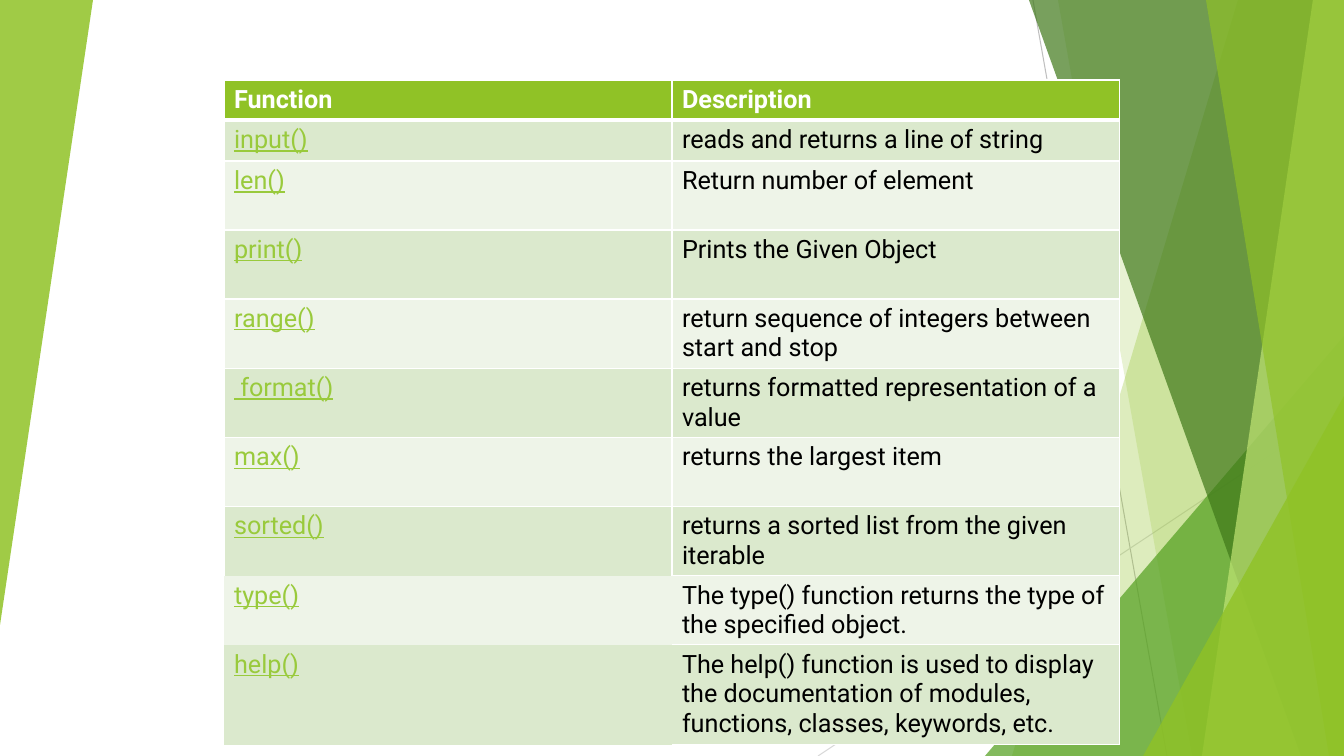
"""Build a slide with a table of Python functions beside green facets."""
from lxml.etree import SubElement
from pptx import Presentation
from pptx.dml.color import RGBColor
from pptx.enum.shapes import MSO_CONNECTOR, MSO_SHAPE
from pptx.oxml import parse_xml
from pptx.oxml.ns import nsdecls, qn
from pptx.util import Pt

SCALE = 12192000 / 1344
WIDE, HIGH = 1344, 756
HUES = {
    "white": "FFFFFF", "black": "000000", "lime": "90C226", "green": "54A021",
    "dark": "3F7819", "pale": "C0E474", "link": "99CA3C", "band": "DBE9CD",
    "light": "EEF4E8", "gray": "BFBFBF", "mist": "D9D9D9",
}
ROWS = [
    ("Function", "Description"),
    ("input()", "reads and returns a line of string"),
    ("len()", "Return number of element"),
    ("print()", "Prints the Given Object"),
    ("range()", "return sequence of integers between start and stop"),
    (" format()", "returns formatted representation of a value"),
    ("max()", "returns the largest item"),
    ("sorted()", "returns a sorted list from the given iterable"),
    ("type()", "The type() function returns the type of the specified object."),
    ("help()", "The help() function is used to display the documentation of "
               "modules, functions, classes, keywords, etc."),
]
TALL = [40, 41] + [69] * 7 + [100]


def px(num):
    """Turn px into EMU."""
    return round(num * SCALE)


class Deck:
    """Hold the style and the current slide."""

    def __init__(self):
        """Open a deck with one blank slide."""
        self.file = Presentation()
        self.file.slide_width, self.file.slide_height = px(WIDE), px(HIGH)
        self.slide = self.file.slides.add_slide(self.file.slide_layouts[6])
        self.font, self.size = "Roboto", Pt(18)

    def tint(self, fill, hue):
        """Give a fill one solid colour."""
        fill.solid()
        fill.fore_color.rgb = RGBColor.from_string(HUES[hue])

    def paint(self, shape, hue, alpha):
        """Give a shape a see-through fill and no line."""
        shape.shadow.inherit = False
        self.tint(shape.fill, hue)
        tone = shape.fill._xPr.find(".//" + qn("a:srgbClr"))
        SubElement(tone, qn("a:alpha"), val=str(alpha * 1000))
        shape.line.fill.background()

    def line(self, start, end, hue):
        """Draw a thin straight line."""
        line = self.slide.shapes.add_connector(
            MSO_CONNECTOR.STRAIGHT, *map(px, start + end))
        line.line.width = Pt(0.75)
        self.tint(line.line.fill, hue)
        SubElement(line._element.spPr, qn("a:effectLst"))

    def facet(self, top, base, hue, alpha):
        """Draw a facet that reaches the right edge."""
        pen = self.slide.shapes.build_freeform(px(top), 0, 1.0)
        ends = [(WIDE, 0), (WIDE, HIGH), (base, HIGH)]
        pen.add_line_segments([(px(x), px(y)) for x, y in ends], close=True)
        self.paint(pen.convert_to_shape(), hue, alpha)

    def wedge(self, box, hue, alpha, turn=0):
        """Draw a right-angled triangle."""
        shape = self.slide.shapes.add_shape(
            MSO_SHAPE.ISOSCELES_TRIANGLE, *map(px, box))
        shape.adjustments[0] = 1.0
        shape.rotation = turn
        self.paint(shape, hue, alpha)

    def edge(self, cell, widths):
        """Set the left, right, top and bottom borders in points."""
        props = cell._tc.get_or_add_tcPr()
        for spot, (side, width) in enumerate(zip("LRTB", widths)):
            fill = (f'<a:solidFill><a:srgbClr val="{HUES["white"]}"/></a:solidFill>'
                    if width else "<a:noFill/>")
            props.insert(spot, parse_xml(
                f'<a:ln{side} {nsdecls("a")} w="{Pt(width)}">{fill}</a:ln{side}>'))

    def cell(self, cell, text, fill, hue, bold, under):
        """Fill one cell and write its text."""
        self.tint(cell.fill, fill)
        run = cell.text_frame.paragraphs[0].add_run()
        run.text = text
        font = run.font
        font.name, font.size = self.font, self.size
        font.bold, font.underline = bold, under
        font.color.rgb = RGBColor.from_string(HUES[hue])

    def table(self, box, rows, tall):
        """Draw the banded table."""
        table = self.slide.shapes.add_table(
            len(rows), len(rows[0]), *map(px, box)).table
        last = len(rows) - 1
        for row, texts in enumerate(rows):
            table.rows[row].height = px(tall[row])
            head = row == 0
            fill = "lime" if head else "band" if row % 2 else "light"
            for col, text in enumerate(texts):
                cell = table.cell(row, col)
                link = col == 0 and not head
                hue = "white" if head else "link" if link else "black"
                self.cell(cell, text, fill, hue, head, link)
                bare = row > last - 2
                sides = [int(not bare)] + [int(not bare or col)] * 3
                if row == last - 2 and col == 0:
                    sides[3] = 0
                if row < 2:
                    sides[2 + (row == 0)] = 3
                self.edge(cell, sides)


def main():
    """Draw the slide and save it."""
    deck = Deck()
    deck.line((1033, 0), (1167, HIGH), "gray")
    deck.line((WIDE, 406), (818, HIGH), "mist")
    deck.facet(1238, 1012, "lime", 30)
    deck.facet(1058, 1192, "lime", 20)
    deck.wedge((985, 336, 359, 420), "green", 72)
    deck.facet(1029, 1301, "dark", 70)
    deck.facet(1313, 1202, "pale", 70)
    deck.facet(1206, 1329, "lime", 65)
    deck.wedge((1143, 396, 201, 360), "lime", 80)
    deck.wedge((0, 0, 93, 625), "lime", 85, 180)
    deck.table((224, 80, 896, sum(TALL)), ROWS, TALL)
    deck.file.save("out.pptx")


if __name__ == "__main__":
    main()
